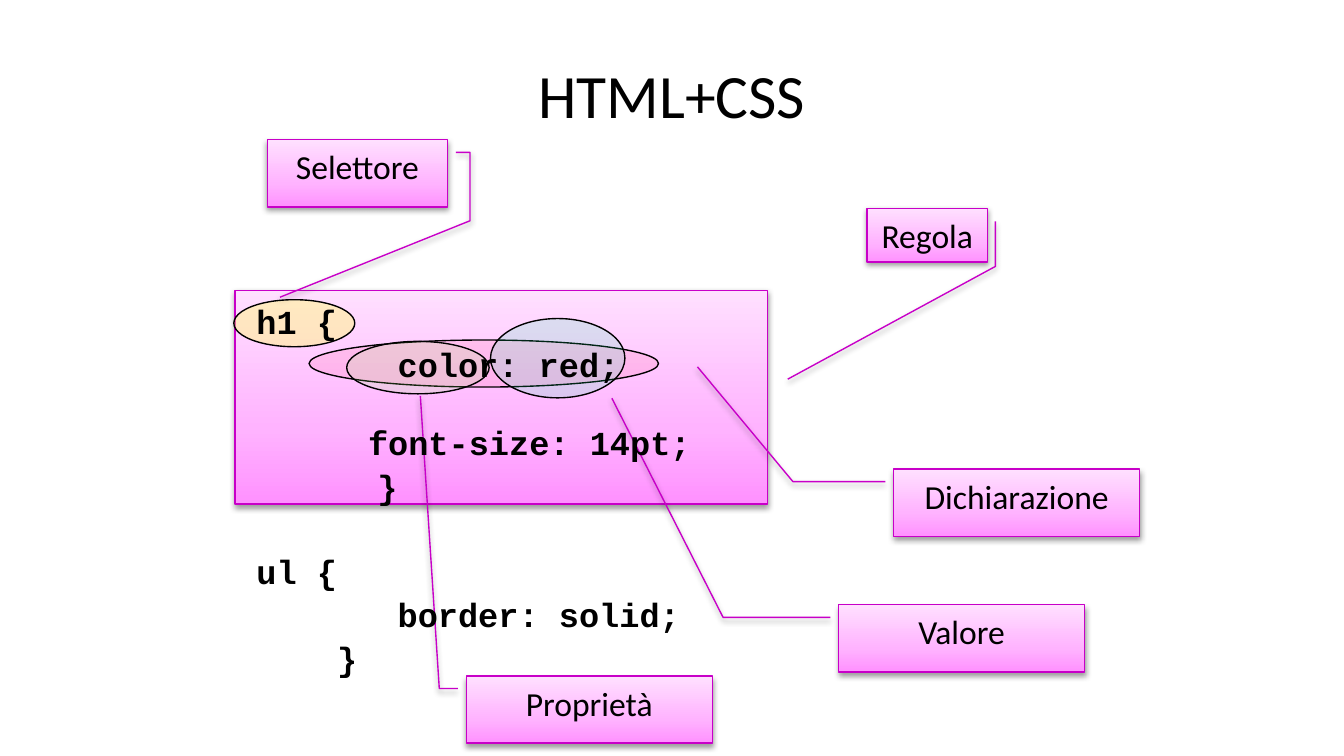
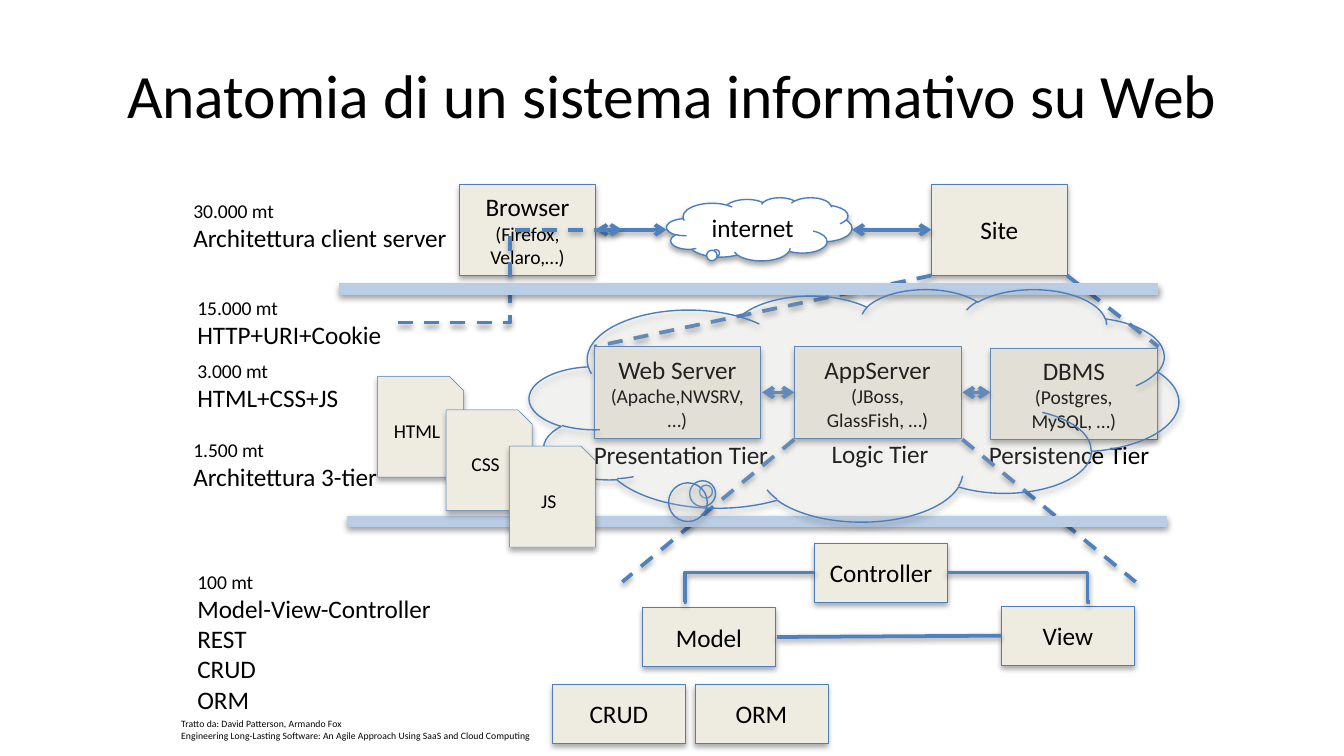
from collections import namedtuple
from copy import deepcopy

from lxml import etree
from pptx import Presentation
from pptx.dml.color import RGBColor
from pptx.enum.dml import MSO_LINE
from pptx.enum.shapes import MSO_CONNECTOR, MSO_SHAPE
from pptx.enum.text import MSO_ANCHOR, MSO_AUTO_SIZE, PP_ALIGN
from pptx.oxml.ns import qn
from pptx.util import Inches, Pt

RECTANGLE, ELLIPSE = MSO_SHAPE.RECTANGLE, MSO_SHAPE.OVAL
SHEET, CLOUD = MSO_SHAPE.SNIP_1_RECTANGLE, MSO_SHAPE.CLOUD_CALLOUT
CALLOUT_TWO, CALLOUT_THREE = MSO_SHAPE.LINE_CALLOUT_2, MSO_SHAPE.LINE_CALLOUT_3
STRAIGHT, ELBOW = MSO_CONNECTOR.STRAIGHT, MSO_CONNECTOR.ELBOW
DASH = MSO_LINE.DASH
LEFT, CENTER = PP_ALIGN.LEFT, PP_ALIGN.CENTER
TOP, MIDDLE = MSO_ANCHOR.TOP, MSO_ANCHOR.MIDDLE
FIT_SHAPE = MSO_AUTO_SIZE.SHAPE_TO_FIT_TEXT

BLACK = RGBColor(0x00, 0x00, 0x00)
WHITE = RGBColor(0xFF, 0xFF, 0xFF)
MAGENTA = RGBColor(0xC8, 0x00, 0xC8)
PINK_DEEP = RGBColor(0xFF, 0x91, 0xFF)
PINK_MID = RGBColor(0xFF, 0xB3, 0xFF)
PINK_PALE = RGBColor(0xFF, 0xE0, 0xFF)
YELLOW = RGBColor(0xFF, 0xFF, 0x66)
ROSE = RGBColor(0xFF, 0x66, 0x99)
LIME = RGBColor(0x99, 0xFF, 0x66)
MINT = RGBColor(0x00, 0xFF, 0x99)
CREAM = RGBColor(0xEE, 0xEC, 0xE1)
EDGE_BLUE = RGBColor(0x4B, 0x7E, 0xBC)
LINK_BLUE = RGBColor(0x4F, 0x81, 0xBD)
BAND_BLUE = RGBColor(0xB9, 0xCD, 0xE5)

PINK_STOPS = ((0, PINK_DEEP), (0.35, PINK_MID), (1, PINK_PALE))
BODY_FONT, CODE_FONT = "Calibri", "Courier New"
LARGE, SMALL = 13.5, 10.5
BOTH_ENDS = ("a:headEnd", "a:tailEnd")


class Box(namedtuple("Box", "left top width height")):
    def inside(self, left, top, width, height):
        return Box(self.left + left, self.top + top, width, height)

    def point(self, left, top):
        return self.left + left, self.top + top

    def lengths(self):
        return [Inches(value) for value in self]


SLIDE_WIDTH = Inches(10)
SLIDE_HEIGHT = SLIDE_WIDTH * 9 // 16
TITLE = Box(0.5, 0.23, 9, 0.94)


def set_attributes(target, values):
    for name, value in values.items():
        setattr(target, name, value)


def add_child(parent, tag, **attributes):
    return etree.SubElement(parent, qn(tag), attributes)


def add_shadow(properties, opacity, distance):
    effects = properties.find(qn("a:effectLst"))
    if effects is None:
        effects = add_child(properties, "a:effectLst")
    shadow = add_child(effects, "a:outerShdw", blurRad=str(Pt(3.1)),
                       dist=str(Pt(distance)), dir="5400000", rotWithShape="0")
    color = add_child(shadow, "a:srgbClr", val=str(BLACK))
    add_child(color, "a:alpha", val=str(opacity * 1000))


def write(shape, lines, align=CENTER, anchor=MIDDLE, font=BODY_FONT, bold=False, **frame_format):
    """Fill a shape with paragraphs given as (text, size) pairs; a newline breaks the line."""
    frame = shape.text_frame
    set_attributes(frame, {"word_wrap": True, "vertical_anchor": anchor, **frame_format})
    for index, (text, size) in enumerate(lines):
        para = frame.paragraphs[0] if index == 0 else frame.add_paragraph()
        para.alignment = align
        for row, part in enumerate(text.split("\n")):
            if row:
                para.add_line_break()
                add_child(para._p[-1], "a:rPr", sz=str(round(size * 100)))
            span = para.add_run()
            span.text = part
            set_attributes(span.font, {"name": font, "size": Pt(size), "bold": bold})
            span.font.color.rgb = BLACK
    return frame


def add_text(page, box, lines, **text_format):
    return write(page.shapes.add_textbox(*box.lengths()), lines, **text_format)


def add_title(page, text):
    add_text(page, TITLE, [(text, 33)])


def add_figure(page, kind, box, fill, line, line_width=0.75, opacity=100, adjustments=()):
    shape = page.shapes.add_shape(kind, *box.lengths())
    shape.shadow.inherit = False
    shape.fill.solid()
    shape.fill.fore_color.rgb = fill
    if opacity < 100:
        color = shape._element.spPr.find(qn("a:solidFill"))[0]
        add_child(color, "a:alpha", val=str(opacity * 1000))
    shape.line.color.rgb = line
    shape.line.width = Pt(line_width)
    for index, value in enumerate(adjustments):
        shape.adjustments[index] = value
    return shape


def add_pink(page, kind, box, adjustments=()):
    shape = add_figure(page, kind, box, PINK_MID, MAGENTA, adjustments=adjustments)
    shape.fill.gradient()
    shape.fill.gradient_angle = 90
    first = shape._element.spPr.find(".//" + qn("a:gs"))
    first.addnext(deepcopy(first))
    for stop, (position, color) in zip(shape.fill.gradient_stops, PINK_STOPS):
        stop.position = position
        stop.color.rgb = color
    add_shadow(shape._element.spPr, 38, 1.6)
    return shape


def add_node(page, box, lines, kind=RECTANGLE):
    shape = add_figure(page, kind, box, CREAM, EDGE_BLUE, 0.25)
    add_shadow(shape._element.spPr, 35, 1.8)
    write(shape, lines)


def add_cloud(page, box, fill, opacity=100):
    shape = add_figure(page, CLOUD, box, fill, EDGE_BLUE, opacity=opacity,
                       adjustments=(-0.228, 0.372))
    add_shadow(shape._element.spPr, 35, 1.8)
    return shape


def add_link(page, start, end, kind=STRAIGHT, color=LINK_BLUE, width=2, dash=None,
             arrows=(), bend=None):
    link = page.shapes.add_connector(kind, *[Inches(value) for value in (*start, *end)])
    link.line.color.rgb = color
    set_attributes(link.line, {"width": Pt(width), "dash_style": dash})
    properties = link._element.spPr
    for arrow in arrows:
        add_child(properties.find(qn("a:ln")), arrow, type="arrow")
    if bend is not None:
        geometry = properties.find(qn("a:prstGeom"))
        guides = geometry.find(qn("a:avLst"))
        if guides is None:
            guides = add_child(geometry, "a:avLst")
        add_child(guides, "a:gd", name="adj1", fmla=f"val {round(bend * 100000)}")
    add_shadow(properties, 38, 1.6)


def draw_callouts(page, box):
    callouts = (
        ("Regola", CALLOUT_THREE, (4.7, 0.51, 0.9, 0.4),
         (0.245, 1.063, 0.245, 1.063, 1.082, 1.063, 3.18, -0.654)),
        ("Selettore", CALLOUT_THREE, (0.24, 0, 1.34, 0.5),
         (0.188, 1.047, 0.188, 1.125, 1.206, 1.125, 2.344, 0.07)),
        ("Dichiarazione", CALLOUT_TWO, (4.9, 2.45, 1.83, 0.5),
         (0.188, -0.034, 0.188, -0.41, -1.521, -0.798)),
        ("Valore", CALLOUT_TWO, (4.49, 3.46, 1.83, 0.5),
         (0.188, -0.034, 0.188, -0.47, -3.073, -0.922)),
        ("Proprietà", CALLOUT_TWO, (1.72, 3.99, 1.83, 0.5),
         (0.188, -0.034, 0.188, -0.11, -4.169, -0.187)),
    )
    for text, kind, place, adjustments in callouts:
        shape = add_pink(page, kind, box.inside(*place), adjustments)
        write(shape, [(text, 18)], anchor=TOP, word_wrap=text != "Regola")


def draw_highlights(page, box):
    for place, color, opacity in (
        ((0, 0.07, 0.9, 0.35), YELLOW, 40),
        ((0.56, 0.37, 2.6, 0.35), ROSE, 17),
        ((0.84, 0.38, 1.06, 0.39), LIME, 15),
        ((1.91, 0.21, 1, 0.59), MINT, 14),
    ):
        add_figure(page, ELLIPSE, box.inside(*place), color, BLACK, opacity=opacity)


def draw_code(page, box):
    line_gap, skipped_line = 3.8, 18.7
    rows = (
        ("h1 {", 0.38, 0),
        ("       color: red;", 0.38, line_gap),
        ("    font-size: 14pt;", 0.61, line_gap + skipped_line),
        ("      }", 0.38, line_gap),
        ("ul {", 0.38, 2 * line_gap + skipped_line),
        ("       border: solid;", 0.38, line_gap),
        ("    }", 0.38, line_gap),
    )
    frame = add_text(page, box, [(text, 18) for text, _, _ in rows], align=LEFT, anchor=TOP,
                     font=CODE_FONT, bold=True, margin_top=Inches(1.47))
    for para, (_, indent, gap) in zip(frame.paragraphs, rows):
        set_attributes(para, {"line_spacing": 0.9, "space_before": Pt(gap)})
        para._p.get_or_add_pPr().set("marL", str(Inches(indent)))


def draw_level_labels(page, box):
    levels = (
        ((0, 0, 2.12, 0.5), False, "30.000 mt", ["Architettura client server"]),
        ((0.03, 0.72, 1.59, 0.5), False, "15.000 mt", ["HTTP+URI+Cookie"]),
        ((0.03, 1.19, 3.75, 0.5), True, "3.000 mt", ["HTML+CSS+JS"]),
        ((0, 1.78, 3.75, 0.5), True, "1.500 mt", ["Architettura 3-tier"]),
        ((0.03, 2.76, 3.75, 1.19), True, "100 mt",
         ["Model-View-Controller", "REST", "CRUD", "ORM"]),
    )
    for place, wrap, height, topics in levels:
        lines = [(height, SMALL)] + [(topic, LARGE) for topic in topics]
        add_text(page, box.inside(*place), lines, align=LEFT, anchor=TOP,
                 word_wrap=wrap, auto_size=FIT_SHAPE)


def draw_client_server(page, box):
    add_node(page, box.inside(0, 0, 1.01, 0.68),
             [("Browser", LARGE), ("(Firefox, Velaro,…)", SMALL)])
    add_node(page, box.inside(3.51, 0, 1.01, 0.68), [("Site", LARGE)])
    write(add_cloud(page, box.inside(1.54, 0.1, 1.38, 0.47), WHITE), [("internet", LARGE)])
    for start, end in ((1.01, 1.54), (2.92, 3.51)):
        add_link(page, box.point(start, 0.34), box.point(end, 0.34), arrows=BOTH_ENDS)
    add_link(page, box.point(-0.46, 1.03), box.point(1.21, 0.34), ELBOW,
             dash=DASH, arrows=("a:tailEnd",))
    for start, end in ((3.51, 1), (4.52, 5.2)):
        add_link(page, box.point(start, 0.68), box.point(end, 1.21), dash=DASH)


def draw_tiers(page, box):
    tiers = (
        (0, 0, "Web Server", "(Apache,NWSRV, …)", "Presentation Tier", (-0.1, 0.64, 1.52)),
        (1.49, 0, "AppServer", "(JBoss,\nGlassFish, …)", "Logic Tier", (1.67, 0.63, 0.93)),
        (2.95, 0.01, "DBMS", "(Postgres,\nMySQL, …)", "Persistence Tier", (2.84, 0.64, 1.41)),
    )
    for left, top, name, examples, tier, (tier_left, tier_top, tier_width) in tiers:
        add_node(page, box.inside(left, top, 1.24, 0.68), [(name, LARGE), (examples, SMALL)])
        add_text(page, box.inside(tier_left, tier_top, tier_width, 0.33), [(tier, LARGE)],
                 align=LEFT, anchor=TOP, word_wrap=False, auto_size=FIT_SHAPE)
    for start, end in ((1.25, 1.49), (2.74, 2.95)):
        add_link(page, box.point(start, 0.34), box.point(end, 0.34), arrows=BOTH_ENDS)
    for start, end in ((1.49, 0.21), (2.74, 4.03)):
        add_link(page, box.point(start, 0.69), box.point(end, 1.75), dash=DASH)


def draw_model_view_controller(page, box):
    for name, left, top in (("Model", 0.67, 0.48), ("Controller", 1.95, 0),
                            ("View", 3.34, 0.47), ("CRUD", 0, 1.05), ("ORM", 1.06, 1.05)):
        add_node(page, box.inside(left, top, 0.99, 0.44), [(name, LARGE)])
    for start, end, bend in ((0.98, 1.95, 0.01), (4, 2.94, 0.017)):
        add_link(page, box.point(start, 0.44), box.point(end, 0.22), ELBOW, bend=bend)
    add_link(page, box.point(1.67, 0.7), box.point(3.34, 0.69))


def draw_separators(page, box):
    for left, top in ((0, 0), (0.06, 1.73)):
        add_link(page, box.point(left, top), box.point(left + 6.1, top),
                 color=BAND_BLUE, width=6)


def draw_sheets(page, box):
    for name, left, top in (("HTML", 0, 0), ("CSS", 0.51, 0.25), ("JS", 0.98, 0.52)):
        add_node(page, box.inside(left, top, 0.64, 0.75), [(name, SMALL)], SHEET)


def draw_source(page, box):
    text = ("Tratto da: David Patterson, Armando Fox\n"
            "Engineering Long-Lasting Software: An Agile Approach Using SaaS and Cloud Computing")
    add_text(page, box, [(text, 5.25)], align=LEFT, anchor=TOP,
             word_wrap=False, auto_size=FIT_SHAPE)


def build_css_slide(page):
    add_pink(page, RECTANGLE, Box(1.75, 2.16, 3.96, 1.59))
    draw_callouts(page, Box(1.75, 1.04, 6.73, 4.49))
    draw_highlights(page, Box(1.74, 2.16, 3.16, 0.8))
    draw_code(page, Box(1.43, 0.8, 7.32, 4.67))
    add_title(page, "HTML+CSS")


def build_anatomy_slide(page):
    add_title(page, "Anatomia di un sistema informativo su Web")
    draw_client_server(page, Box(3.42, 1.37, 5.2, 1.21))
    draw_level_labels(page, Box(1.34, 1.43, 3.78, 3.95))
    draw_tiers(page, Box(4.42, 2.58, 4.25, 1.75))
    draw_model_view_controller(page, Box(4.11, 4.04, 4.33, 1.49))
    draw_separators(page, Box(2.52, 2.15, 6.16, 1.73))
    draw_source(page, Box(1.25, 5.29, 2.85, 0.37))
    add_cloud(page, Box(3.94, 2.15, 4.83, 1.73), CREAM, opacity=15)
    draw_sheets(page, Box(2.81, 2.8, 1.62, 1.27))


def main():
    deck = Presentation()
    set_attributes(deck, {"slide_width": SLIDE_WIDTH, "slide_height": SLIDE_HEIGHT})
    for build in (build_css_slide, build_anatomy_slide):
        build(deck.slides.add_slide(deck.slide_layouts[6]))
    deck.save("out.pptx")


if __name__ == "__main__":
    main()
